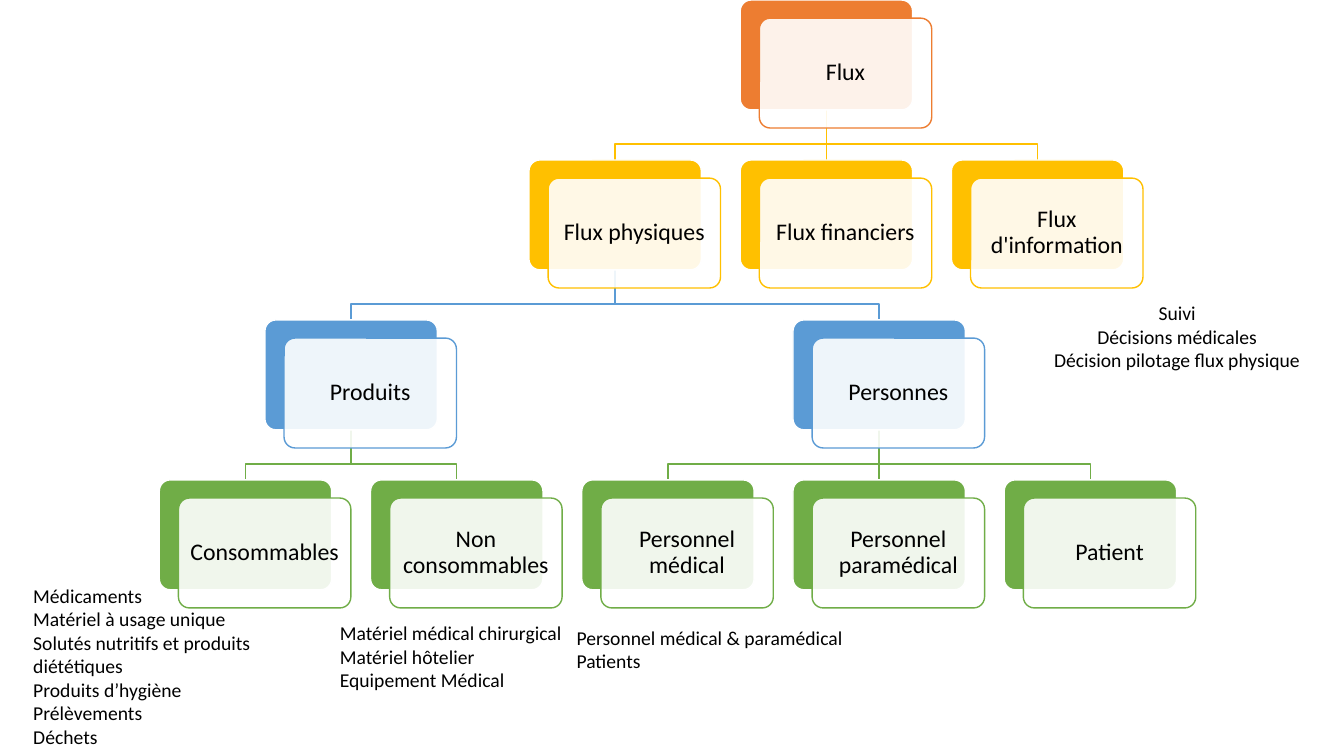
from lxml import etree
from pptx import Presentation
from pptx import util as u
from pptx.dml.color import RGBColor
from pptx.enum import shapes, text
from pptx.oxml.ns import qn

FONT = "Calibri"
LEVEL_COLOURS = ["ED7D31", "FFC000", "5B9BD5", "70AD47"]

# label: (level, column, parent); columns are counted in leaf widths
NODES = {
    "Flux": (0, 2.75, None),
    "Flux physiques": (1, 1.75, "Flux"),
    "Flux financiers": (1, 2.75, "Flux"),
    "Flux d'information": (1, 3.75, "Flux"),
    "Produits": (2, 0.5, "Flux physiques"),
    "Personnes": (2, 3, "Flux physiques"),
    "Consommables": (3, 0, "Produits"),
    "Non consommables": (3, 1, "Produits"),
    "Personnel médical": (3, 2, "Personnes"),
    "Personnel paramédical": (3, 3, "Personnes"),
    "Patient": (3, 4, "Personnes"),
}

LEFT, CENTRE = text.PP_ALIGN.LEFT, text.PP_ALIGN.CENTER
# (left, top, width, height), horizontal inset, vertical inset, wrap, alignment, lines
NOTES = [
    ((10.34, 2.94, 2.67, 0.81), 0.1, 0.05, False, CENTRE,
     ["Suivi", "Décisions médicales", "Décision pilotage flux physique"]),
    ((5.62, 6.16, 2.86, 0.57), 0.1, 0.05, False, LEFT,
     ["Personnel médical & paramédical", "Patients"]),
    ((0.33, 5.79, 2.46, 1.66), 0, 0, True, LEFT,
     ["Médicaments", "Matériel à usage unique",
      "Solutés nutritifs et produits diététiques",
      "Produits d’hygiène", "Prélèvements", "Déchets"]),
    ((3.37, 6.16, 2.22, 0.71), 0, 0, False, LEFT,
     ["Matériel médical chirurgical", "Matériel hôtelier",
      "Equipement Médical"]),
]

TREE_LEFT, COLUMN_STEP, ROW_STEP = 1.58, 2.095, 1.587
CARD_WIDTH, CARD_HEIGHT = 1.71, 1.09
FRONT_DX, FRONT_DY = 0.19, 0.18
BEND_DROP = 0.34


def rgb(colour):
    """Turn a hex string into a colour."""
    return RGBColor.from_string(colour)


def card_position(label):
    """Return the left and top of a node's back card, in inches."""
    level, column, _ = NODES[label]
    return TREE_LEFT + column * COLUMN_STEP, level * ROW_STEP


def style_line(shape, colour):
    """Give a shape or connector a one-point line."""
    shape.line.color.rgb = rgb(colour)
    shape.line.width = u.Pt(1)


def add_branch(slide, label):
    """Draw the line from a node's parent down to the node."""
    level, _, parent = NODES[label]
    parent_left, parent_top = card_position(parent)
    child_left, end_y = card_position(label)
    start_x = u.Inches(parent_left + CARD_WIDTH / 2)
    end_x = u.Inches(child_left + CARD_WIDTH / 2)
    start_y, end_y = u.Inches(parent_top + CARD_HEIGHT), u.Inches(end_y)
    if start_x == end_x:
        branch = slide.shapes.add_connector(
            shapes.MSO_CONNECTOR.STRAIGHT, start_x, start_y, end_x, end_y)
        etree.SubElement(branch._element.spPr, qn("a:effectLst"))
    else:
        bend_y = start_y + u.Inches(BEND_DROP)
        builder = slide.shapes.build_freeform(start_x, start_y)
        builder.add_line_segments(
            [(start_x, bend_y), (end_x, bend_y), (end_x, end_y)], close=False)
        branch = builder.convert_to_shape()
        branch.shadow.inherit = False
        branch.fill.background()
    style_line(branch, LEVEL_COLOURS[level])


def add_card(slide, left, top, fill, line):
    """Add one rounded card and return it."""
    card = slide.shapes.add_shape(
        shapes.MSO_SHAPE.ROUNDED_RECTANGLE, u.Inches(left), u.Inches(top),
        u.Inches(CARD_WIDTH), u.Inches(CARD_HEIGHT))
    card.adjustments[0] = 0.1
    card.shadow.inherit = False
    card.fill.solid()
    card.fill.fore_color.rgb = rgb(fill)
    style_line(card, line)
    return card


def set_opacity(shape, percent):
    """Make a solid fill partly transparent."""
    colour = shape._element.spPr.find(qn("a:solidFill"))[0]
    etree.SubElement(colour, qn("a:alpha"), val=str(percent * 1000))


def write_lines(shape, lines, size, alignment, inset_x, inset_y, wrap=True):
    """Fill a shape with one paragraph per line."""
    frame = shape.text_frame
    frame.word_wrap = wrap
    frame.margin_left = frame.margin_right = u.Inches(inset_x)
    frame.margin_top = frame.margin_bottom = u.Inches(inset_y)
    for index, line in enumerate(lines):
        paragraph = frame.add_paragraph() if index else frame.paragraphs[0]
        paragraph.alignment = alignment
        run = paragraph.add_run()
        run.text = line
        run.font.name = FONT
        run.font.size = u.Pt(size)
        run.font.color.rgb = rgb("000000")
    return frame


def add_node(slide, label):
    """Add a coloured back card and the translucent labelled front card."""
    colour = LEVEL_COLOURS[NODES[label][0]]
    left, top = card_position(label)
    add_card(slide, left, top, colour, "FFFFFF")
    front = add_card(slide, left + FRONT_DX, top + FRONT_DY, "FFFFFF", colour)
    set_opacity(front, 90)
    frame = write_lines(front, [label], 17, CENTRE, 0.07, 0.07)
    frame.vertical_anchor = text.MSO_ANCHOR.MIDDLE
    frame.paragraphs[0].line_spacing = 0.9


def add_note(slide, box, inset_x, inset_y, wrap, alignment, lines):
    """Add a free text note."""
    note = slide.shapes.add_textbox(*map(u.Inches, box))
    frame = write_lines(note, lines, 14, alignment, inset_x, inset_y, wrap)
    frame.auto_size = text.MSO_AUTO_SIZE.SHAPE_TO_FIT_TEXT


presentation = Presentation()
presentation.slide_width = u.Inches(13.33)
presentation.slide_height = u.Inches(7.5)
slide = presentation.slides.add_slide(presentation.slide_layouts[6])

for label, (_, _, parent) in NODES.items():
    if parent:
        add_branch(slide, label)
for label in NODES:
    add_node(slide, label)
for note in NOTES:
    add_note(slide, *note)

presentation.save("out.pptx")
